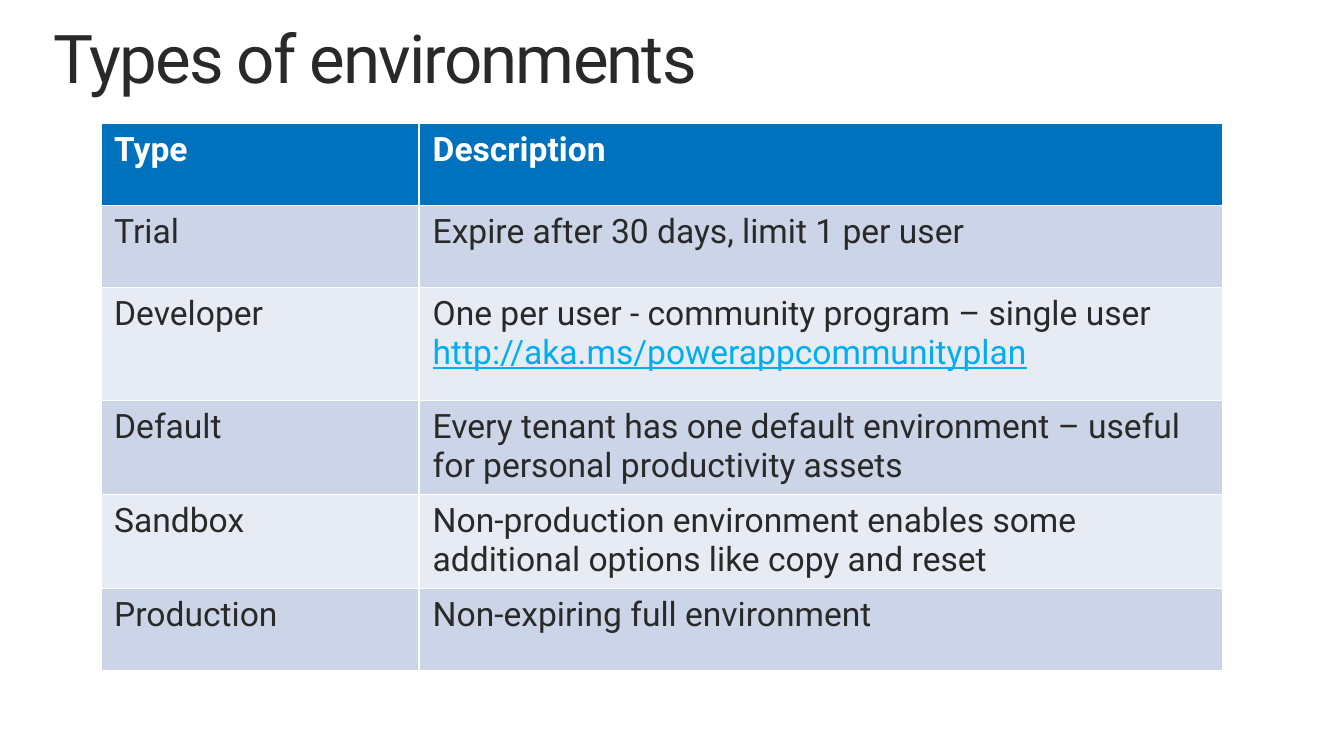
from dataclasses import dataclass

from pptx import Presentation
from pptx import util as u
from pptx.dml.color import RGBColor
from pptx.enum import text

WIDTH = 10
HEIGHT = WIDTH * 9 / 16
FONT = "Roboto"
COLORS = {
    "ink": "292929",
    "white": "FFFFFF",
    "header": "0071BC",
    "odd": "CCD5E7",
    "even": "E7EBF3",
    "link": "00AEEF",
}
COLUMN_WIDTHS = (2.37, 5.98)
ROW_HEIGHT = 0.61
TALL_ROW_HEIGHT = 0.84


@dataclass(frozen=True)
class Environment:
    kind: str
    description: str
    link: str = ""
    height: float = ROW_HEIGHT


ENVIRONMENTS = (
    Environment("Trial", "Expire after 30 days, limit 1 per user"),
    Environment("Developer", "One per user - community program – single user ",
                "http://aka.ms/powerappcommunityplan", TALL_ROW_HEIGHT),
    Environment("Default", "Every tenant has one default environment – useful "
                "for personal productivity assets"),
    Environment("Sandbox", "Non-production environment enables some "
                "additional options like copy and reset"),
    Environment("Production", "Non-expiring full environment"),
)


def add_span(para, words: str, size: float, color: str,
             bold: bool = False, underline: bool = False):
    span = para.add_run()
    span.text = words
    font = span.font
    font.name, font.size = FONT, u.Pt(size)
    font.bold, font.underline = bold, underline
    font.color.rgb = RGBColor.from_string(COLORS[color])
    return span


def add_title(page, words: str) -> None:
    box = page.shapes.add_textbox(u.Inches(0.4), u.Inches(0.19),
                                  u.Inches(9.27), u.Inches(0.55))
    frame = box.text_frame
    frame.word_wrap = True
    frame.auto_size = text.MSO_AUTO_SIZE.SHAPE_TO_FIT_TEXT
    frame.margin_left = frame.margin_right = 0
    frame.margin_top = frame.margin_bottom = 0
    para = frame.paragraphs[0]
    para.line_spacing = 0.9
    span = add_span(para, words, 36, "ink")
    span.font._element.set("spc", "-100")


def fill_cell(cell, fill: str) -> None:
    cell.fill.solid()
    cell.fill.fore_color.rgb = RGBColor.from_string(COLORS[fill])


def add_environment_table(page) -> None:
    """Add the table; its default style draws the white cell borders."""
    heights = [ROW_HEIGHT] + [item.height for item in ENVIRONMENTS]
    table = page.shapes.add_table(
        len(heights), len(COLUMN_WIDTHS), u.Inches(0.75), u.Inches(0.92),
        u.Inches(sum(COLUMN_WIDTHS)), u.Inches(sum(heights))).table
    for column, width in zip(table.columns, COLUMN_WIDTHS):
        column.width = u.Inches(width)
    for row, height in zip(table.rows, heights):
        row.height = u.Inches(height)

    for column, heading in enumerate(("Type", "Description")):
        cell = table.cell(0, column)
        fill_cell(cell, "header")
        add_span(cell.text_frame.paragraphs[0], heading, 18, "white", bold=True)

    for row, item in enumerate(ENVIRONMENTS, start=1):
        for column, words in enumerate((item.kind, item.description)):
            cell = table.cell(row, column)
            fill_cell(cell, "odd" if row % 2 else "even")
            para = cell.text_frame.paragraphs[0]
            add_span(para, words, 18, "ink")
        if item.link:
            add_span(para, item.link, 18, "link", underline=True)


def main() -> None:
    deck = Presentation()
    deck.slide_width, deck.slide_height = u.Inches(WIDTH), u.Inches(HEIGHT)
    page = deck.slides.add_slide(deck.slide_layouts[6])
    add_title(page, "Types of environments")
    add_environment_table(page)
    deck.save("out.pptx")


if __name__ == "__main__":
    main()
